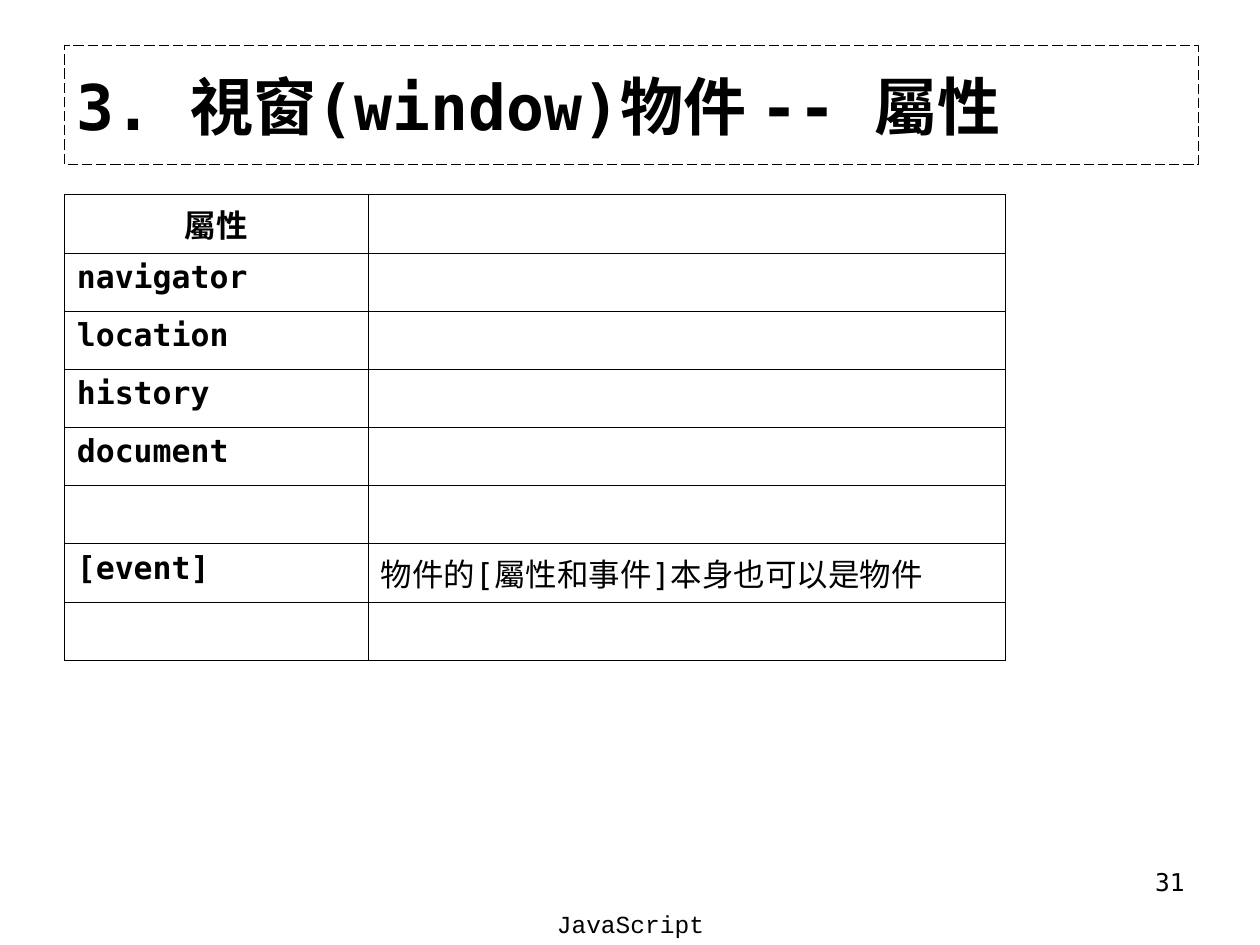
from lxml import etree
from pptx import Presentation, util as u
from pptx.dml.color import RGBColor
from pptx.enum import dml, text
from pptx.oxml import ns

COLORS = {"ink": "000000", "page": "FFFFFF"}
MONO, CODE = "DejaVu Sans Mono", "Courier New"
LEFT, WIDTH = 0.051, 0.9
SPLIT = 0.268
ROWS = [
    ("屬性", ""),
    ("navigator", ""),
    ("location", ""),
    ("history", ""),
    ("document", ""),
    ("", ""),
    ("[event]", "物件的[屬性和事件]本身也可以是物件"),
    ("", ""),
]


class Deck:
    """Holds the style and the current slide; boxes are shares of the slide."""

    def __init__(self):
        self.prs = Presentation()
        self.prs.slide_width, self.prs.slide_height = u.Inches(10), u.Inches(7.5)
        self.slide = self.prs.slides.add_slide(self.prs.slide_layouts[5])
        fill = self.slide.background.fill
        fill.solid()
        fill.fore_color.rgb = self.color("page")

    def color(self, name):
        return RGBColor.from_string(COLORS[name])

    def box(self, left, top, width, height):
        wide, high = self.prs.slide_width, self.prs.slide_height
        return [round(n) for n in (left * wide, top * high, width * wide, height * high)]

    def style(self, frame, words, size, align="LEFT", font=MONO, bold=False):
        """Puts the words in the frame and formats them."""
        frame.text = words
        para = frame.paragraphs[0]
        para.alignment = text.PP_ALIGN[align]
        para.font.size = u.Pt(size)
        for run in para.runs:
            face = run.font
            face.name, face.size, face.bold = font, u.Pt(size), bold
            face.color.rgb = self.color("ink")

    def title(self, words, *area):
        shape = self.slide.shapes.title
        shape.left, shape.top, shape.width, shape.height = self.box(*area)
        shape.line.color.rgb = self.color("ink")
        shape.line.width = u.Pt(0.75)
        shape.line.dash_style = dml.MSO_LINE.LONG_DASH
        frame = shape.text_frame
        self.style(frame, words, 36, bold=True)
        frame.auto_size = text.MSO_AUTO_SIZE.NONE
        frame.vertical_anchor = text.MSO_ANCHOR.MIDDLE

    def label(self, words, area, align, font=MONO):
        frame = self.slide.shapes.add_textbox(*self.box(*area)).text_frame
        frame.word_wrap = True
        self.style(frame, words, 14, align, font)

    def border(self, cell):
        """Draws a thin line on all four sides of the cell."""
        props = cell._tc.get_or_add_tcPr()
        for spot, side in enumerate("LRTB"):
            line = etree.Element(ns.qn(f"a:ln{side}"), w=str(u.Pt(0.45)))
            fill = etree.SubElement(line, ns.qn("a:solidFill"))
            etree.SubElement(fill, ns.qn("a:srgbClr"), val=COLORS["ink"])
            props.insert(spot, line)

    def table(self, rows, split, *area):
        """Adds a two-column table; split is the first column's share."""
        frame = self.slide.shapes.add_table(len(rows), 2, *self.box(*area))
        grid = frame.table
        grid.first_row = grid.horz_banding = False
        for col, share in zip(grid.columns, (split, 1 - split)):
            col.width = round(frame.width * share)
        for r, row in enumerate(rows):
            for c, words in enumerate(row):
                cell = grid.cell(r, c)
                align = "LEFT" if r else "CENTER"
                self.style(cell.text_frame, words, 18, align, bold=c == 0)
                cell.fill.background()
                self.border(cell)


def main():
    deck = Deck()
    deck.title("3. 視窗(window)物件 -- 屬性", LEFT, 0.048, WIDTH, 0.126)
    deck.table(ROWS, SPLIT, LEFT, 0.206, WIDTH, 0.493)
    deck.label("31", (0.717, 0.911, 0.233, 0.07), "RIGHT")
    deck.label("JavaScript", (0.342, 0.955, 0.317, 0.067), "CENTER", CODE)
    deck.prs.save("out.pptx")


if __name__ == "__main__":
    main()
